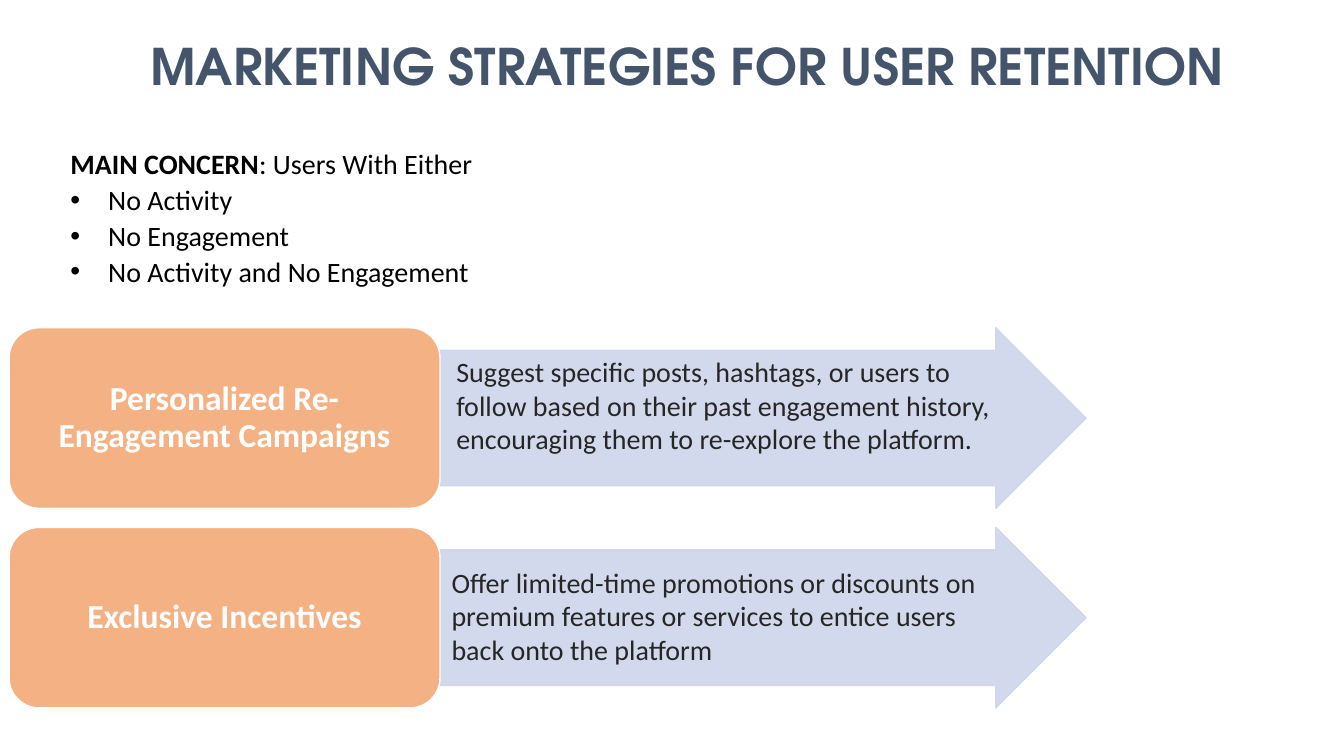
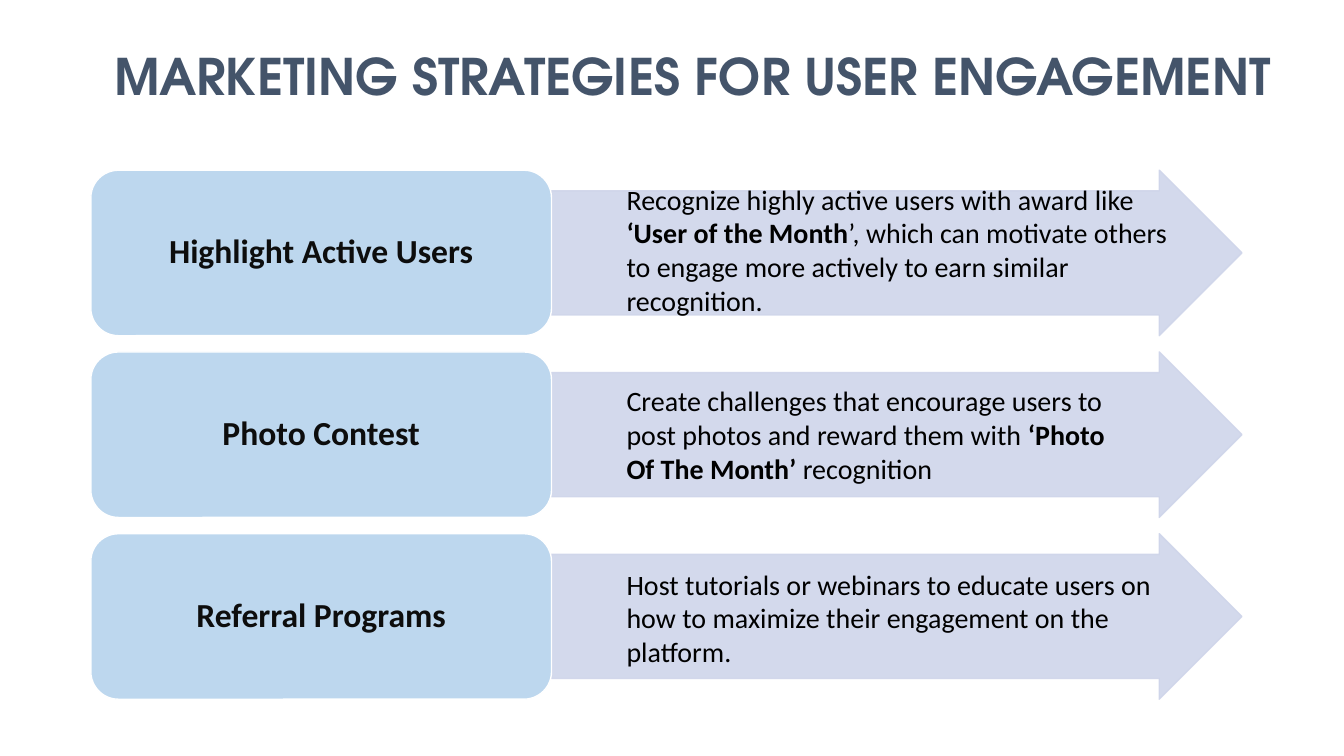
"""Build two slides on marketing strategies for user retention and engagement."""
from lxml.etree import SubElement
from pptx import Presentation
from pptx.dml.color import RGBColor
from pptx.enum.shapes import MSO_SHAPE
from pptx.enum.text import MSO_ANCHOR, MSO_AUTO_SIZE, PP_ALIGN
from pptx.oxml.ns import qn
from pptx.util import Cm, Pt

SLATE = RGBColor(0x44, 0x54, 0x6A)
BLACK = RGBColor(0x00, 0x00, 0x00)
INK = RGBColor(0x0D, 0x0D, 0x0D)
CHARCOAL = RGBColor(0x26, 0x26, 0x26)
WHITE = RGBColor(0xFF, 0xFF, 0xFF)
LAVENDER = RGBColor(0xCF, 0xD5, 0xEA)
ORANGE = RGBColor(0xF4, 0xB1, 0x83)
SKY = RGBColor(0xBD, 0xD7, 0xEE)

TITLE_FONT = {"name": "TeX Gyre Adventor", "size": Pt(36), "bold": True}
LABEL_FONT = {"name": "Calibri", "size": Pt(24), "bold": True}
TEXT_FONT = {"name": "Calibri", "size": Pt(20), "bold": False}

TOP_FRAME = {"word_wrap": True, "auto_size": MSO_AUTO_SIZE.NONE,
             "vertical_anchor": MSO_ANCHOR.TOP}
MIDDLE_FRAME = {**TOP_FRAME, "vertical_anchor": MSO_ANCHOR.MIDDLE}
TITLE_PARAGRAPH = {"alignment": PP_ALIGN.CENTER}
LABEL_PARAGRAPH = {"alignment": PP_ALIGN.CENTER, "line_spacing": 0.9}
TEXT_PARAGRAPH = {"alignment": PP_ALIGN.LEFT}
LIST_PARAGRAPH = {"line_spacing": 1.07, "space_before": Pt(0), "space_after": Pt(0)}


def apply(target, values):
    for key, value in values.items():
        setattr(target, key, value)


def write(shape, paragraphs, frame_format, paragraph_format, font, color):
    """Write paragraphs of runs, where every second run is bold."""
    frame = shape.text_frame
    apply(frame, frame_format)
    for number, runs in enumerate(paragraphs):
        paragraph = frame.add_paragraph() if number else frame.paragraphs[0]
        apply(paragraph, paragraph_format)
        for position, words in enumerate(runs):
            if words:
                run = paragraph.add_run()
                run.text = words
                apply(run.font, font)
                run.font.bold = font["bold"] or position % 2 == 1
                run.font.color.rgb = color


SLIDES = [
    {
        "layout": 1,
        "title": "MARKETING STRATEGIES FOR USER RETENTION",
        "title_box": (2.41, 0.76, 29.82, 1.8),
        "concerns": [["", "MAIN CONCERN", ": Users With Either"], ["No Activity"],
                     ["No Engagement"], ["No Activity and No Engagement"]],
        "left": 0.23, "top": 8.26, "pitch": 5.03, "height": 4.55,
        "label_width": 10.86, "arrow_width": 16.28,
        "label_fill": ORANGE, "label_color": WHITE, "text_color": CHARCOAL,
        "strategies": [
            ("Personalized Re-Engagement Campaigns", (11.25, 8.81, 14.12, 2.82),
             ["Suggest specific posts, hashtags, or users to follow based on their past "
              "engagement history, encouraging them to re-explore the platform."]),
            ("Exclusive Incentives", (11.13, 14.12, 14.4, 2.82),
             ["Offer limited-time promotions or discounts on premium features or services "
              "to entice users back onto the platform"]),
        ],
    },
    {
        "layout": 5,
        "title": "MARKETING STRATEGIES FOR USER ENGAGEMENT",
        "title_box": (2.03, 1.02, 30.84, 1.8),
        "concerns": [],
        "left": 2.29, "top": 4.29, "pitch": 4.58, "height": 4.17,
        "label_width": 11.61, "arrow_width": 17.4,
        "label_fill": SKY, "label_color": INK, "text_color": BLACK,
        "strategies": [
            ("Highlight Active Users", (15.54, 4.47, 14.55, 3.68),
             ["Recognize highly active users with award like ", "‘User of the Month",
              "’, which can motivate others to engage more actively to earn similar "
              "recognition."]),
            ("Photo Contest", (15.54, 9.55, 13.21, 2.82),
             ["Create challenges that encourage users to post photos and reward them with ",
              "‘Photo Of The Month’", " recognition"]),
            ("Referral Programs", (15.54, 14.17, 14.78, 2.82),
             ["Host tutorials or webinars to educate users on how to maximize their "
              "engagement on the platform."]),
        ],
    },
]

deck = Presentation()
apply(deck, {"slide_width": Cm(33.87), "slide_height": Cm(19.05)})

for content in SLIDES:
    slide = deck.slides.add_slide(deck.slide_layouts[content["layout"]])
    title = slide.shapes.title
    apply(title, dict(zip(("left", "top", "width", "height"), map(Cm, content["title_box"]))))
    write(title, [[content["title"]]], TOP_FRAME, TITLE_PARAGRAPH, TITLE_FONT, SLATE)

    if content["concerns"]:
        concerns = slide.placeholders[1]
        apply(concerns, {"left": Cm(1.52), "top": Cm(3.51),
                         "width": Cm(11.15), "height": Cm(3.89)})
        write(concerns, content["concerns"], TOP_FRAME, LIST_PARAGRAPH, TEXT_FONT, BLACK)
        heading = concerns.text_frame.paragraphs[0]._p.get_or_add_pPr()
        heading.set("marL", "0")
        heading.set("indent", "0")
        SubElement(heading, qn("a:buNone"))

    arrow_left = content["left"] + content["label_width"]
    for row, (name, text_box, advice) in enumerate(content["strategies"]):
        top = Cm(content["top"] + row * content["pitch"])
        height = Cm(content["height"])
        arrow = slide.shapes.add_shape(MSO_SHAPE.RIGHT_ARROW, Cm(arrow_left), top,
                                       Cm(content["arrow_width"]), height)
        arrow.adjustments[0] = 0.75
        label = slide.shapes.add_shape(MSO_SHAPE.ROUNDED_RECTANGLE, Cm(content["left"]), top,
                                       Cm(content["label_width"]), height)
        for shape, fill, line in ((arrow, LAVENDER, LAVENDER),
                                  (label, content["label_fill"], WHITE)):
            shape.shadow.inherit = False
            shape.fill.solid()
            shape.fill.fore_color.rgb = fill
            shape.line.color.rgb = line
            shape.line.width = Pt(1)
        for tint in list(arrow._element.spPr.iter(qn("a:srgbClr"))):
            SubElement(tint, qn("a:alpha")).set("val", "90000")
        write(label, [[name]], MIDDLE_FRAME, LABEL_PARAGRAPH, LABEL_FONT,
              content["label_color"])
        description = slide.shapes.add_textbox(*map(Cm, text_box))
        write(description, [advice], TOP_FRAME, TEXT_PARAGRAPH, TEXT_FONT,
              content["text_color"])

deck.save("out.pptx")
